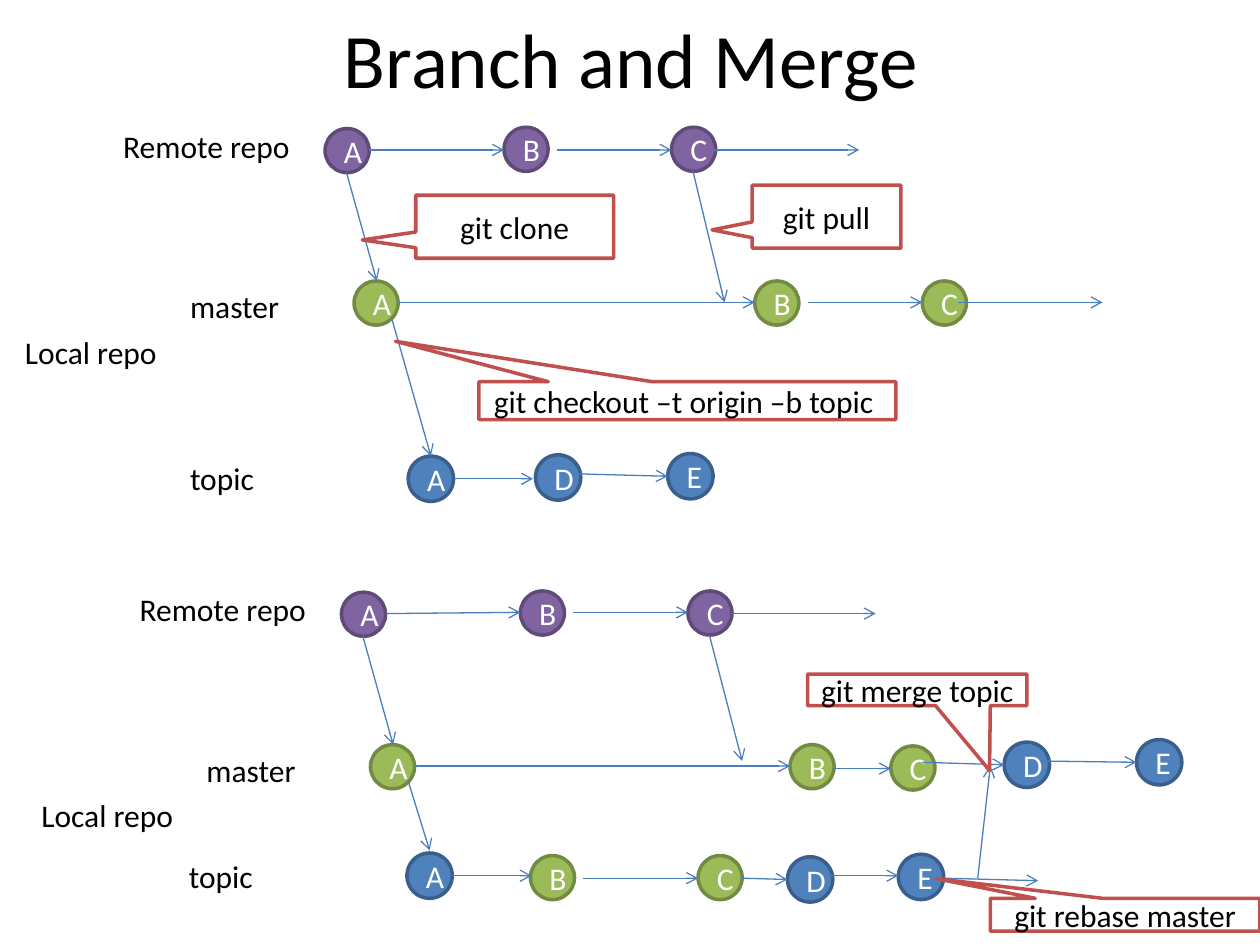
"""Build the Branch and Merge slide with two git history diagrams."""
from lxml import etree
from pptx import Presentation
from pptx.dml.color import RGBColor
from pptx.enum.shapes import MSO_CONNECTOR, MSO_SHAPE
from pptx.enum.text import MSO_ANCHOR, PP_ALIGN
from pptx.oxml.ns import qn
from pptx.util import Pt

PX = 9144
OVAL, CALLOUT = MSO_SHAPE.OVAL, MSO_SHAPE.RECTANGULAR_CALLOUT
STRAIGHT = MSO_CONNECTOR.STRAIGHT
LEFT, CENTER = PP_ALIGN.LEFT, PP_ALIGN.CENTER
TOP, MIDDLE = MSO_ANCHOR.TOP, MSO_ANCHOR.MIDDLE

COLORS = {
    "black": "000000", "white": "FFFFFF", "arrow": "4B7EBC", "callout": "C0504D",
    "remote": "8064A2", "remote_line": "5F4A78",
    "master": "9BBB59", "master_line": "738A42",
    "topic": "4F81BD", "topic_line": "3A5F8C",
}
FONT = {"name": "Calibri", "size": Pt(18)}
TITLE_FONT = {"name": "Calibri", "size": Pt(44)}

LABELS = [
    ("Remote repo", 88, 96, 154), ("master", 141, 223, 92),
    ("Local repo", 10, 259, 126), ("topic", 141, 359, 71),
    ("Remote repo", 101, 463, 154), ("master", 154, 591, 92),
    ("Local repo", 23, 627, 126), ("topic", 140, 675, 71),
]
COMMITS = {
    "remote": (35, [("A", 258, 102), ("B", 400, 101), ("C", 533, 101),
                    ("A", 271, 470), ("B", 413, 469), ("C", 546, 469)]),
    "master": (35, [("A", 281, 223), ("B", 599, 223), ("C", 732, 223),
                    ("A", 294, 591), ("B", 627, 591), ("C", 707, 592),
                    ("B", 421, 679), ("C", 554, 679)]),
    "topic": (36, [("A", 324, 362), ("D", 425, 361), ("E", 530, 360),
                   ("A", 323, 677), ("D", 625, 680), ("E", 713, 678),
                   ("D", 797, 589), ("E", 902, 587)]),
}
ARROWS = [
    (293, 119, 400, 119), (442, 119, 533, 119), (567, 119, 682, 119),
    (316, 240, 599, 240), (641, 240, 732, 240), (760, 240, 875, 240),
    (360, 380, 423, 380), (455, 376, 530, 378),
    (275, 137, 299, 223), (550, 136, 575, 240), (311, 253, 342, 362),
    (306, 487, 413, 486), (455, 486, 546, 486), (580, 487, 695, 487),
    (329, 608, 627, 608), (662, 610, 707, 610), (732, 605, 797, 607),
    (826, 604, 902, 605), (359, 695, 422, 695), (463, 697, 554, 697),
    (589, 697, 625, 698), (655, 695, 713, 695), (749, 697, 824, 699),
    (288, 505, 312, 591), (563, 504, 589, 604), (324, 620, 341, 675),
    (776, 697, 786, 608),
]
CALLOUTS = [
    ("git clone", 330, 155, 157, 50, -0.77, 0.21),
    ("git pull", 597, 147, 118, 50, -0.77, 0.21),
    ("git checkout –t origin –b topic ", 380, 303, 331, 30, -0.7, -1.57),
    ("git rebase master", 786, 713, 214, 26, -0.7, -1.1),
    ("git merge topic", 641, 535, 174, 25, 0.33, 2.56),
]


def write(sp, text, font, color="black", align=CENTER, anchor=MIDDLE, wrap=True):
    tf = sp.text_frame
    tf.word_wrap, tf.vertical_anchor = wrap, anchor
    p = tf.paragraphs[0]
    p.alignment = align
    r = p.add_run()
    r.text = text
    for key, value in font.items():
        setattr(r.font, key, value)
    r.font.color.rgb = RGBColor.from_string(COLORS[color])


def add_box(kind, x, y, w, h, fill, line):
    sp = s.shapes.add_shape(kind, x * PX, y * PX, w * PX, h * PX)
    sp.shadow.inherit = False
    sp.fill.solid()
    sp.fill.fore_color.rgb = RGBColor.from_string(COLORS[fill])
    sp.line.color.rgb = RGBColor.from_string(COLORS[line])
    sp.line.width = Pt(2)
    return sp


prs = Presentation()
prs.slide_width, prs.slide_height = 1000 * PX, 750 * PX
s = prs.slides.add_slide(prs.slide_layouts[6])

title = s.shapes.add_textbox(51 * PX, 0, 900 * PX, 92 * PX)
write(title, "Branch and Merge", TITLE_FONT)

for text, x, y, w in LABELS:
    sp = s.shapes.add_textbox(x * PX, y * PX, w * PX, 40 * PX)
    write(sp, text, FONT, align=LEFT, anchor=TOP, wrap=False)

for branch, (size, commits) in COMMITS.items():
    for letter, x, y in commits:
        sp = add_box(OVAL, x, y, size, size, branch, f"{branch}_line")
        write(sp, letter, FONT, "white")

for ends in ARROWS:
    cx = s.shapes.add_connector(STRAIGHT, *(v * PX for v in ends))
    cx.line.color.rgb = RGBColor.from_string(COLORS["arrow"])
    cx.line.width = Pt(0.75)
    etree.SubElement(cx.line._get_or_add_ln(), qn("a:tailEnd"), type="arrow")
    etree.SubElement(cx._element.spPr, qn("a:effectLst"))

for text, x, y, w, h, tip_x, tip_y in CALLOUTS:
    sp = add_box(CALLOUT, x, y, w, h, "white", "callout")
    sp.adjustments[0], sp.adjustments[1] = tip_x, tip_y
    write(sp, text, FONT)

prs.save("out.pptx")
